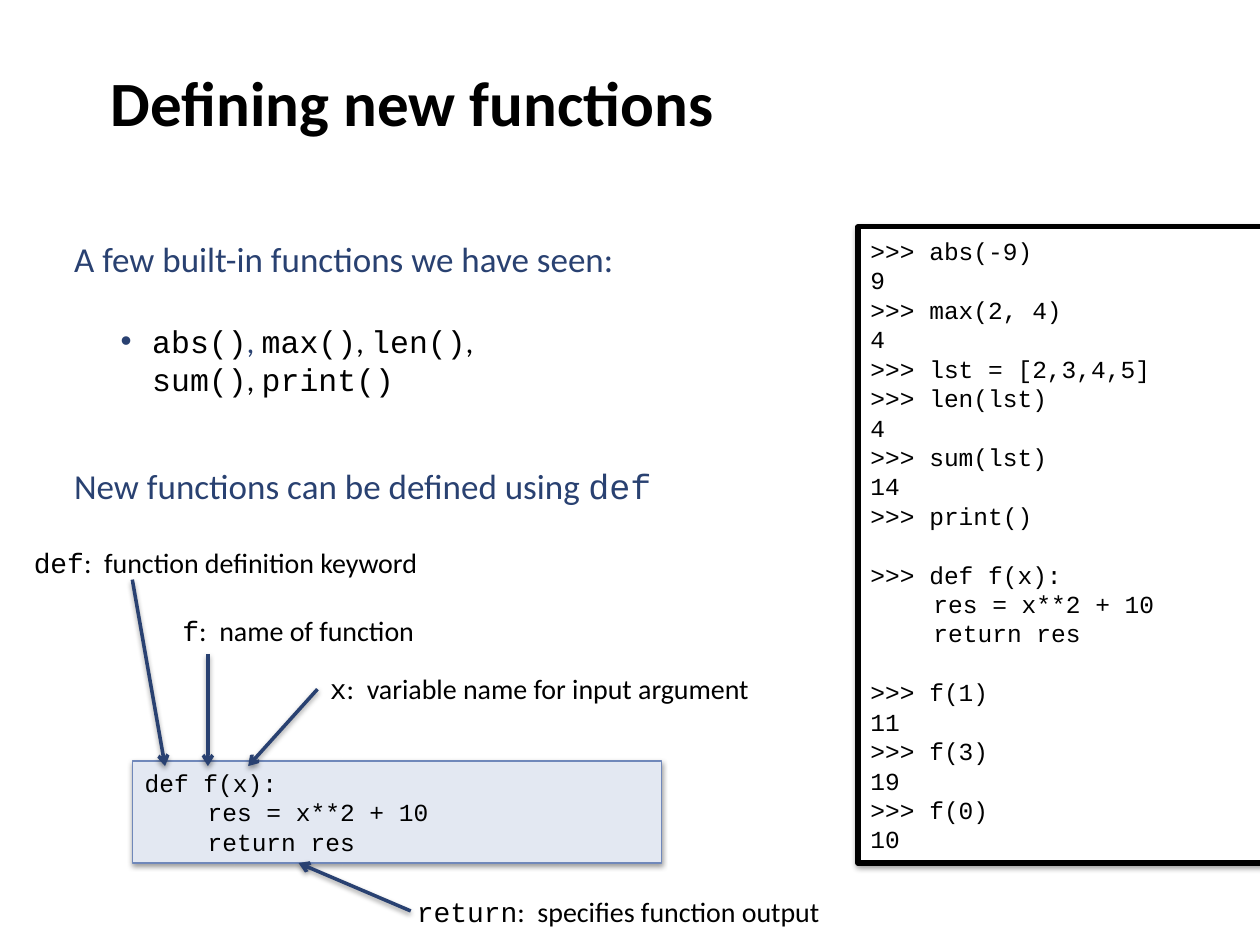
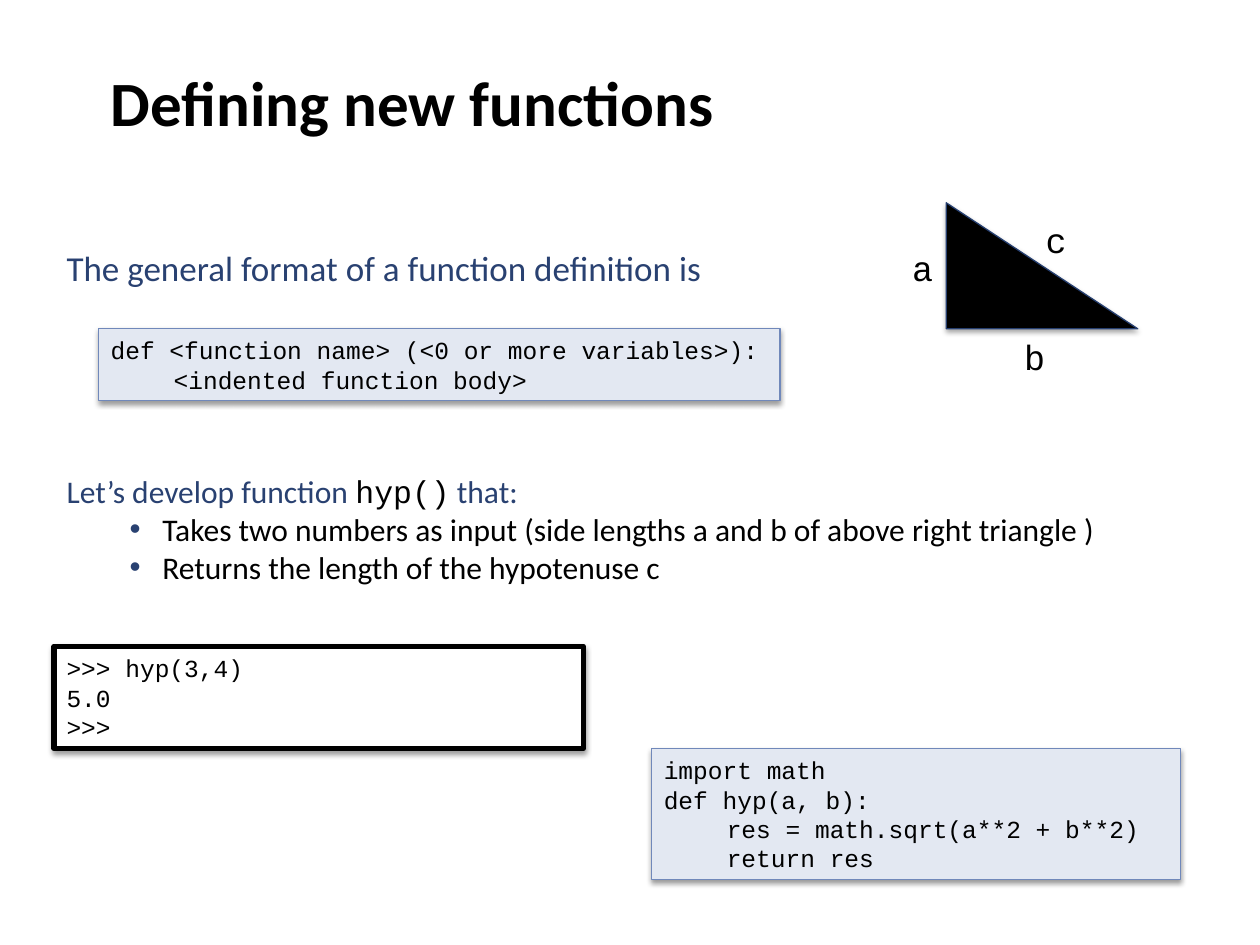
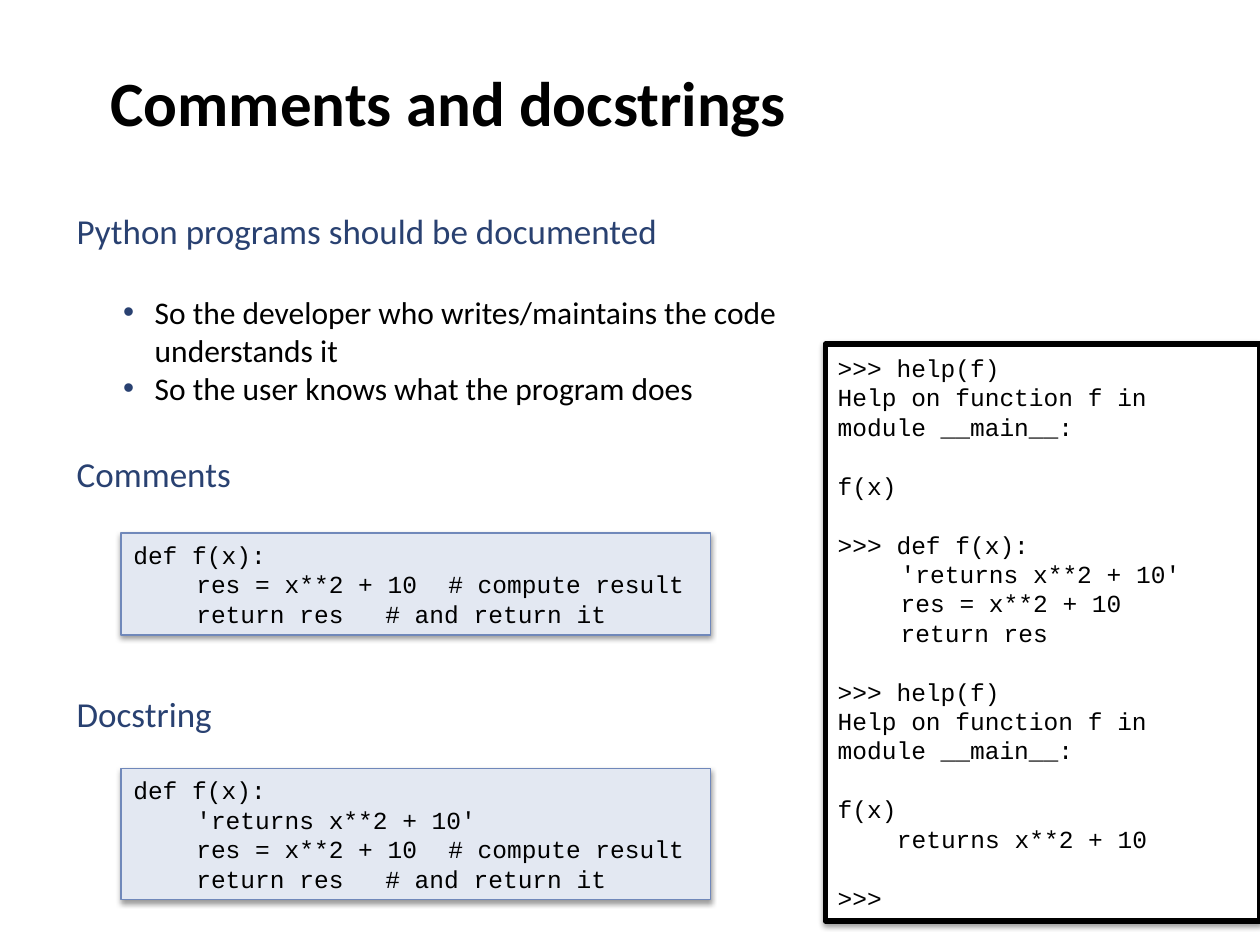
from lxml.etree import SubElement
from pptx import Presentation
from pptx.dml.color import RGBColor
from pptx.enum.shapes import MSO_CONNECTOR, MSO_SHAPE
from pptx.enum.text import MSO_ANCHOR, PP_ALIGN
from pptx.oxml.ns import qn
from pptx.util import Inches, Pt

# Shared colours, fonts and formats
BLACK = RGBColor(0x00, 0x00, 0x00)
WHITE = RGBColor(0xFF, 0xFF, 0xFF)
NAVY = RGBColor(0x29, 0x41, 0x71)
EDGE = RGBColor(0x70, 0x88, 0xBA)
PALE = RGBColor(0xE3, 0xE8, 0xF2)
RIM = RGBColor(0x26, 0x3F, 0x70)
SANS, MONO = "Calibri", "Courier New"
LINE = 16.8  # pitch of a code line, in points

TITLE = (dict(name=SANS, size=Pt(36), bold=True), BLACK)
HEAD = (dict(name=SANS, size=Pt(20)), NAVY)
KEY = (dict(name=MONO, size=Pt(20)), NAVY)
SIDE = (dict(name=MONO, size=Pt(20)), BLACK)
LEAD = (dict(name=SANS, size=Pt(18)), NAVY)
BODY = (dict(name=SANS, size=Pt(18)), BLACK)
CALL = (dict(name=MONO, size=Pt(18)), BLACK)
NOTE = (dict(name=SANS, size=Pt(16)), BLACK)
WORD = (dict(name=MONO, size=Pt(16)), BLACK)
CODE = (dict(name=MONO, size=Pt(14)), BLACK)

GAP = dict(space_before=Pt(24))
ITEM = dict(margin=0.62, hang=0.25, bullet="•")
STEP = dict(margin=0.76, hang=0.26, bullet="•")


class Deck:
    def __init__(self):
        self.show = Presentation()
        self.show.slide_width = Inches(10)
        self.show.slide_height = Inches(7.5)

    def page(self, title):
        self.slide = self.show.slides.add_slide(self.show.slide_layouts[6])
        self.text((0.78, 0, 8.5, 1.61), [([(title, TITLE)], {})], wrap=True)

    def shade(self, shape, alpha=38, dist=1.6):
        """Give a shape or connector a soft shadow straight below it."""
        group = SubElement(shape._element.spPr, qn("a:effectLst"))
        drop = SubElement(group, qn("a:outerShdw"), blurRad=str(Pt(3.1)),
                          dist=str(Pt(dist)), dir="5400000", rotWithShape="0")
        tint = SubElement(drop, qn("a:srgbClr"), val=str(BLACK))
        SubElement(tint, qn("a:alpha"), val=str(alpha * 1000))

    def para(self, para, runs, form):
        """Fill a paragraph; form holds spacing, indent, bullet and tabs."""
        form = dict(form)
        margin, hang = form.pop("margin", 0), form.pop("hang", 0)
        bullet, tabs = form.pop("bullet", None), form.pop("tabs", ())
        para.alignment = PP_ALIGN.LEFT
        for name, value in form.items():
            setattr(para, name, value)
        props = para._p.get_or_add_pPr()
        props.set("marL", str(Inches(margin)))
        props.set("indent", str(Inches(-hang)))
        if bullet:
            tint = SubElement(props, qn("a:buClr"))
            SubElement(tint, qn("a:srgbClr"), val=str(NAVY))
            SubElement(props, qn("a:buFont"), typeface="Arial")
            SubElement(props, qn("a:buChar"), char=bullet)
        if tabs:
            stops = SubElement(props, qn("a:tabLst"))
            for stop in tabs:
                SubElement(stops, qn("a:tab"), pos=str(Inches(stop)), algn="l")
        for words, (font, color) in runs:
            run = para.add_run()
            run.text = words
            for name, value in font.items():
                setattr(run.font, name, value)
            run.font.color.rgb = color

    def fill(self, frame, paras, wrap, anchor):
        frame.word_wrap = wrap
        frame.vertical_anchor = anchor
        for i, (runs, form) in enumerate(paras):
            para = frame.add_paragraph() if i else frame.paragraphs[0]
            self.para(para, runs, form)

    def text(self, at, paras, wrap=False, anchor=MSO_ANCHOR.MIDDLE):
        box = self.slide.shapes.add_textbox(*map(Inches, at))
        self.fill(box.text_frame, paras, wrap, anchor)

    def label(self, at, *runs):
        self.text(at, [(runs, {})])

    def shape(self, kind, at, fill, edge, width, **shadow):
        shape = self.slide.shapes.add_shape(kind, *map(Inches, at))
        shape.fill.solid()
        shape.fill.fore_color.rgb = fill
        shape.line.color.rgb = edge
        shape.line.width = Pt(width)
        self.shade(shape, **shadow)
        return shape

    def block(self, at, lines, look, tabs):
        """Draw a code box; an empty line becomes space before the next."""
        box = self.shape(MSO_SHAPE.RECTANGLE, at, *look)
        paras, skip = [], 0
        for line in lines:
            if not line:
                skip += LINE
                continue
            form = dict(line_spacing=Pt(LINE), space_before=Pt(skip))
            if isinstance(line, tuple):
                line, form["margin"] = line
            if "\t" in line:
                form["tabs"] = tabs
            paras.append(([(line, CODE)], form))
            skip = 0
        self.fill(box.text_frame, paras, True, MSO_ANCHOR.MIDDLE)

    def code(self, at, *lines):
        self.block(at, lines, (PALE, EDGE, 0.75), (0.47, 2.57))

    def shell(self, at, *lines):
        self.block(at, lines, (WHITE, BLACK, 3), (1,))

    def arrow(self, *ends):
        link = self.slide.shapes.add_connector(
            MSO_CONNECTOR.STRAIGHT, *map(Inches, ends))
        link.line.color.rgb = NAVY
        link.line.width = Pt(2)
        SubElement(link._element.spPr.find(qn("a:ln")),
                   qn("a:tailEnd"), type="arrow")
        self.shade(link)


BASIC = ("def f(x):", "\tres = x**2 + 10", "\treturn res")
NOTED = ("\tres = x**2 + 10\t# compute result", "\treturn res\t# and return it")
DOC = "\t'returns x**2 + 10'"
HELP = (">>> help(f)", "Help on function f in module __main__:", "", "f(x)")


def define(deck):
    deck.page("Defining new functions")
    deck.shell(
        (6.81, 1.8, 3.21, 5.05),
        ">>> abs(-9)", "9", ">>> max(2, 4)", "4", ">>> lst = [2,3,4,5]",
        ">>> len(lst)", "4", ">>> sum(lst)", "14", ">>> print()", "",
        ">>> " + BASIC[0], *BASIC[1:], "",
        ">>> f(1)", "11", ">>> f(3)", "19", ">>> f(0)", "10")
    deck.text((0.49, 1.83, 4.54, 1.38), [
        ([("A few built-in functions we have seen:", HEAD)], {}),
        ([("abs()", CALL), (", ", LEAD), ("max()", CALL), (", ", BODY),
          ("len()", CALL), (",", BODY)], {**ITEM, **GAP}),
        ([("sum()", CALL), (", ", BODY), ("print()", CALL)],
         dict(margin=0.62))])
    deck.label((0.49, 3.63, 4.83, 0.44),
               ("New functions can be defined using ", HEAD), ("def", KEY))
    deck.code((1.05, 6.04, 4.2, 0.81), *BASIC)

    # Parts of the definition
    for at, word, note, ends in (
            ((0.17, 4.28, 3.3, 0.37), "def", "function definition keyword",
             (1.05, 4.6, 1.31, 6.08)),
            ((1.35, 4.82, 2.06, 0.37), "f", "name of function",
             (1.65, 5.19, 1.65, 6.08)),
            ((2.52, 5.28, 3.65, 0.37), "x", "variable name for input argument",
             (2.52, 5.47, 1.97, 6.08)),
            ((3.21, 7.05, 3.65, 0.37), "return", "specifies function output",
             (3.26, 7.23, 2.37, 6.85))):
        deck.arrow(*ends)
        deck.text(at, [([(word, WORD), (":  " + note, NOTE)], {})], wrap=True)


def hypot(deck):
    deck.page("Defining new functions")
    deck.code((0.78, 2.61, 5.41, 0.57),
              "def <function name> (<0 or more variables>):",
              "\t<indented function body>")

    # Right triangle with its sides
    deck.shape(MSO_SHAPE.RIGHT_TRIANGLE, (7.51, 1.61, 1.52, 1),
               BLACK, RIM, 0.75, alpha=35, dist=1.8)
    for side, left, top in (("a", 7.14, 1.9), ("b", 8.03, 2.61),
                            ("c", 8.2, 1.68)):
        deck.label((left, top, 0.37, 0.44), (side, SIDE))

    deck.shell((0.43, 5.13, 4.2, 0.81), ">>> hyp(3,4)", "5.0", ">>>")
    deck.label((0.43, 1.9, 5.3, 0.44),
               ("The general format of a function definition is", HEAD))
    deck.text((0.43, 3.69, 8.51, 1.01), [
        ([("Let’s develop function ", LEAD), ("hyp()", CALL),
          (" that:", LEAD)], {}),
        ([("Takes two numbers as input (side lengths a and b of above "
           "right triangle )", BODY)], STEP),
        ([("Returns the length of the hypotenuse c", BODY)], STEP)])
    deck.code((5.17, 5.94, 4.2, 1.04), "import math", "def hyp(a, b):",
              "\tres = math.sqrt(a**2 + b**2)", "\treturn res")


def document(deck):
    deck.page("Comments and docstrings")
    deck.text((0.51, 1.61, 5.76, 1.68), [
        ([("Python programs should be documented", HEAD)], {}),
        ([("So the developer who writes/maintains the code understands it",
           BODY)], {**ITEM, **GAP}),
        ([("So the user knows what the program does", BODY)], ITEM)],
        wrap=True, anchor=MSO_ANCHOR.TOP)
    deck.label((0.51, 3.54, 1.44, 0.44), ("Comments", HEAD))
    deck.code((0.96, 4.23, 4.68, 0.81), BASIC[0], *NOTED)
    deck.label((0.51, 5.44, 1.29, 0.44), ("Docstring", HEAD))
    deck.code((0.96, 6.1, 4.68, 1.04), BASIC[0], DOC, *NOTED)
    deck.shell((6.55, 2.73, 3.45, 4.58), *HELP, "",
               ">>> " + BASIC[0], DOC, *BASIC[1:], "",
               *HELP, ("returns x**2 + 10", 0.47), "", ">>>")


def main():
    deck = Deck()
    for build in (define, hypot, document):
        build(deck)
    deck.show.save("out.pptx")


if __name__ == "__main__":
    main()
